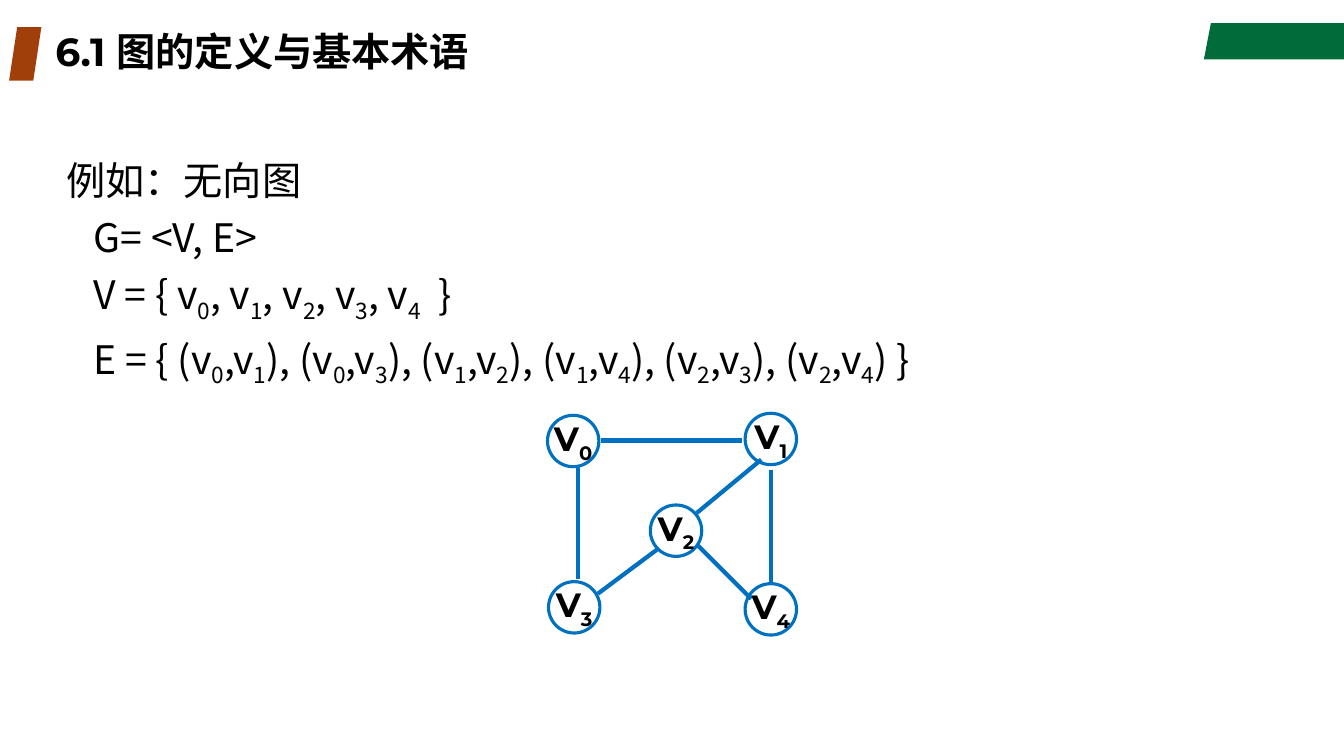
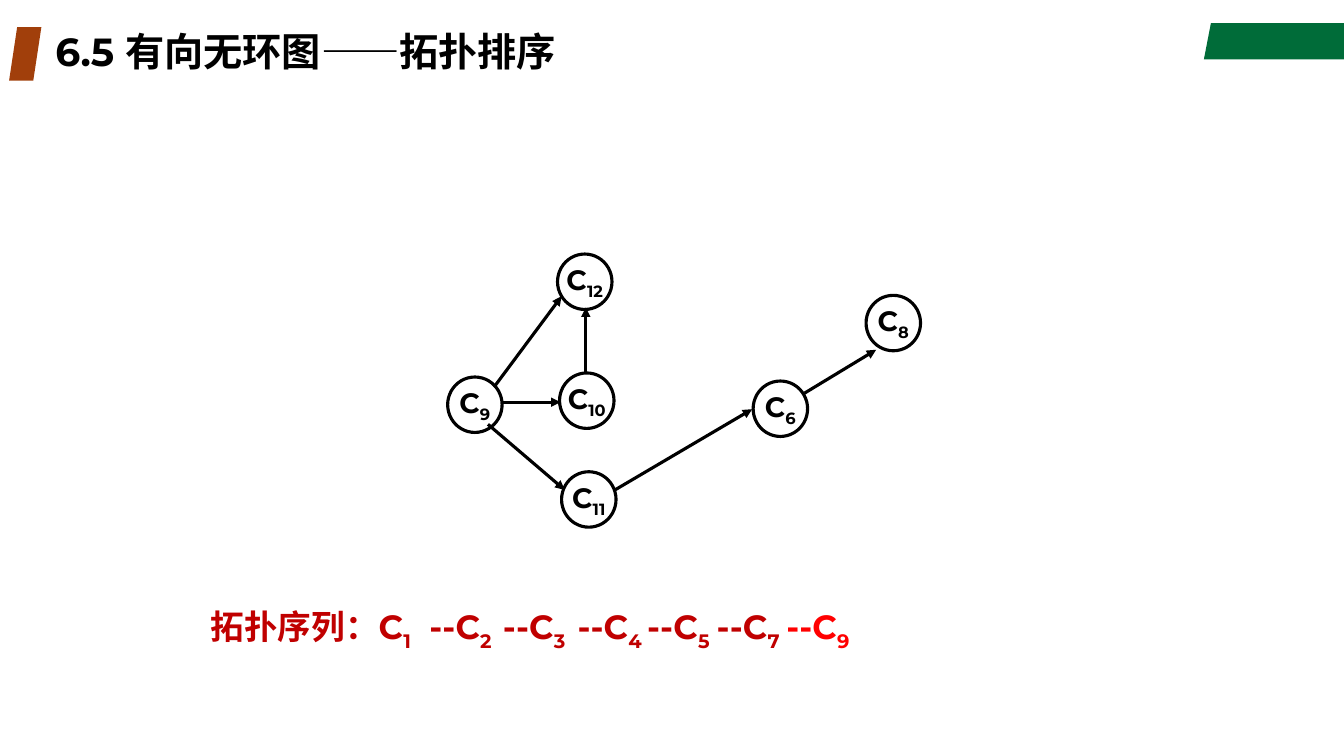
from lxml import etree
from pptx import Presentation
from pptx.dml.color import RGBColor
from pptx.enum import shapes, text
from pptx.oxml import ns
from pptx.util import Inches, Pt

COLORS = {
    "green": "006C39",
    "rust": "A13F0B",
    "black": "000000",
    "blue": "0070C0",
    "crimson": "C00000",
    "red": "FF0000",
}
LATIN = "Montserrat"
CHINESE = "Noto Sans CJK SC"
DIGITS = "0123456789"


def color(name):
    return RGBColor.from_string(COLORS[name])


def add_span(para, content, size, font, ink, bold, lowered=False):
    span = para.add_run()
    span.text = content
    span.font.size = Pt(size)
    span.font.bold = bold
    span.font.name = font
    span.font.color.rgb = color(ink)
    properties = span.font._element
    if lowered:
        properties.set("baseline", "-25000")
    east_asian = etree.Element(ns.qn("a:ea"), typeface=CHINESE)
    properties.find(ns.qn("a:latin")).addnext(east_asian)


def write(para, content, size=28, font=LATIN, ink="black", bold=True,
          spacing=1.0, align=None, indent=0):
    para.line_spacing = spacing
    para.alignment = align
    if indent:
        properties = para._p.get_or_add_pPr()
        properties.set("marL", str(Inches(indent)))
        properties.set("indent", "0")
    first, *pieces = content.split("_")
    add_span(para, first, size, font, ink, bold)
    for piece in pieces:
        rest = piece.lstrip(DIGITS)
        index = piece[:len(piece) - len(rest)]
        add_span(para, index, size, font, ink, bold, lowered=True)
        if rest:
            add_span(para, rest, size, font, ink, bold)


def add_text(page, left, top, width, height, content,
             anchor=text.MSO_ANCHOR.TOP, **style):
    box = page.shapes.add_textbox(Inches(left), Inches(top), Inches(width), Inches(height))
    box.text_frame.word_wrap = True
    box.text_frame.vertical_anchor = anchor
    write(box.text_frame.paragraphs[0], content, **style)
    return box


def paint(shape, fill):
    shape.shadow.inherit = False
    shape.fill.solid()
    shape.fill.fore_color.rgb = color(fill)
    shape.line.fill.background()


def add_frame(page, title):
    left, top, right, bottom, slant = 11.94, 0.23, 13.33, 0.59, 0.07
    outline = page.shapes.build_freeform(Inches(left + slant), Inches(top))
    outline.add_line_segments(
        [(Inches(x), Inches(y)) for x, y in ((right, top), (right, bottom), (left, bottom))])
    paint(outline.convert_to_shape(), "green")
    marker = page.shapes.add_shape(
        shapes.MSO_SHAPE.PARALLELOGRAM, Inches(0.09), Inches(0.27), Inches(0.32), Inches(0.53))
    marker.adjustments[0] = 0.25
    paint(marker, "rust")
    add_text(page, 0.45, 0.27, 9.45, 0.53, title,
             anchor=text.MSO_ANCHOR.MIDDLE, spacing=0.9)


def add_node(page, left, top, width, height, label, size, ink):
    node = page.shapes.add_shape(
        shapes.MSO_SHAPE.OVAL, Inches(left), Inches(top), Inches(width), Inches(height))
    node.shadow.inherit = False
    node.fill.background()
    node.line.color.rgb = color(ink)
    node.line.width = Pt(2.25)
    frame = node.text_frame
    frame.word_wrap = False
    frame.vertical_anchor = text.MSO_ANCHOR.MIDDLE
    frame.margin_left = frame.margin_right = frame.margin_top = frame.margin_bottom = 0
    write(frame.paragraphs[0], label, size=size, align=text.PP_ALIGN.CENTER)


def add_edge(page, start, end, ink, width, arrow):
    edge = page.shapes.add_connector(
        shapes.MSO_CONNECTOR.STRAIGHT, *(Inches(value) for value in start + end))
    edge.line.color.rgb = color(ink)
    edge.line.width = Pt(width)
    if arrow:
        etree.SubElement(edge.line._get_or_add_ln(), ns.qn("a:tailEnd"), type="triangle")
    etree.SubElement(edge._element.spPr, ns.qn("a:effectLst"))


def add_graph(page, left, top, nodes, edges, node_size, text_size, ink, edge_width, arrow=False):
    for x1, y1, x2, y2 in edges:
        add_edge(page, (left + x1, top + y1), (left + x2, top + y2), ink, edge_width, arrow)
    for label, (x, y) in nodes.items():
        add_node(page, left + x, top + y, *node_size, label, text_size, ink)


def add_definition(page, left, top, width, height):
    style = {"font": CHINESE, "bold": False, "spacing": 1.2}
    box = add_text(page, left, top, width, height, "例如：无向图", **style)
    for line in (
        "G= <V, E>",
        "V = { v_0, v_1, v_2, v_3, v_4  }",
        "E = { (v_0,v_1), (v_0,v_3), (v_1,v_2), (v_1,v_4), (v_2,v_3), (v_2,v_4) }",
    ):
        write(box.text_frame.add_paragraph(), line, indent=0.27, **style)


def add_sequence(page, left, top):
    style = {"size": 24, "spacing": 1.1}
    add_text(page, left, top, 2.41, 0.52, "拓扑序列：C_1", ink="crimson", **style)
    steps = {2: 2.17, 3: 2.9, 4: 3.64, 5: 4.33, 7: 5.02, 9: 5.71}
    for number, offset in steps.items():
        ink = "red" if number == 9 else "crimson"
        add_text(page, left + offset, top, 0.98, 0.52, f"--C_{number}", ink=ink, **style)


def build_undirected_graph(page):
    add_frame(page, "6.1 图的定义与基本术语")
    add_definition(page, 0.56, 1.41, 10.43, 2.44)
    nodes = {
        "V_0": (0, 0.02), "V_4": (1.96, 1.69), "V_3": (0.01, 1.67),
        "V_1": (1.96, 0), "V_2": (1.02, 0.91),
    }
    edges = [
        (0.3, 0.51, 0.3, 1.64), (0.53, 0.27, 1.93, 0.27), (2.22, 0.56, 2.22, 1.69),
        (1.09, 1.35, 0.5, 1.79), (2.12, 0.46, 1.48, 0.99), (1.48, 1.3, 2.02, 1.84),
    ]
    add_graph(page, 5.43, 4.1, nodes, edges, (0.51, 0.51), 24, "blue", 3)


def build_topological_sort(page):
    add_frame(page, "6.5 有向无环图——拓扑排序")
    nodes = {
        "C_6": (3.03, 1.26), "C_8": (4.15, 0.41), "C_9": (0, 1.22),
        "C_10": (1.11, 1.18), "C_11": (1.13, 2.16), "C_12": (1.09, 0),
    }
    edges = [
        (0.46, 1.32, 1.13, 0.42), (0.54, 1.47, 1.12, 1.47), (1.37, 1.19, 1.37, 0.53),
        (0.4, 1.69, 1.16, 2.34), (1.66, 2.34, 3.02, 1.54), (3.54, 1.38, 4.25, 0.95),
    ]
    add_graph(page, 4.44, 2.52, nodes, edges, (0.54, 0.55), 20, "black", 2.25, arrow=True)
    add_sequence(page, 1.99, 5.92)


def main():
    deck = Presentation()
    deck.slide_width, deck.slide_height = Inches(13.33), Inches(7.5)
    for build in (build_undirected_graph, build_topological_sort):
        build(deck.slides.add_slide(deck.slide_layouts[6]))
    deck.save("out.pptx")


if __name__ == "__main__":
    main()
